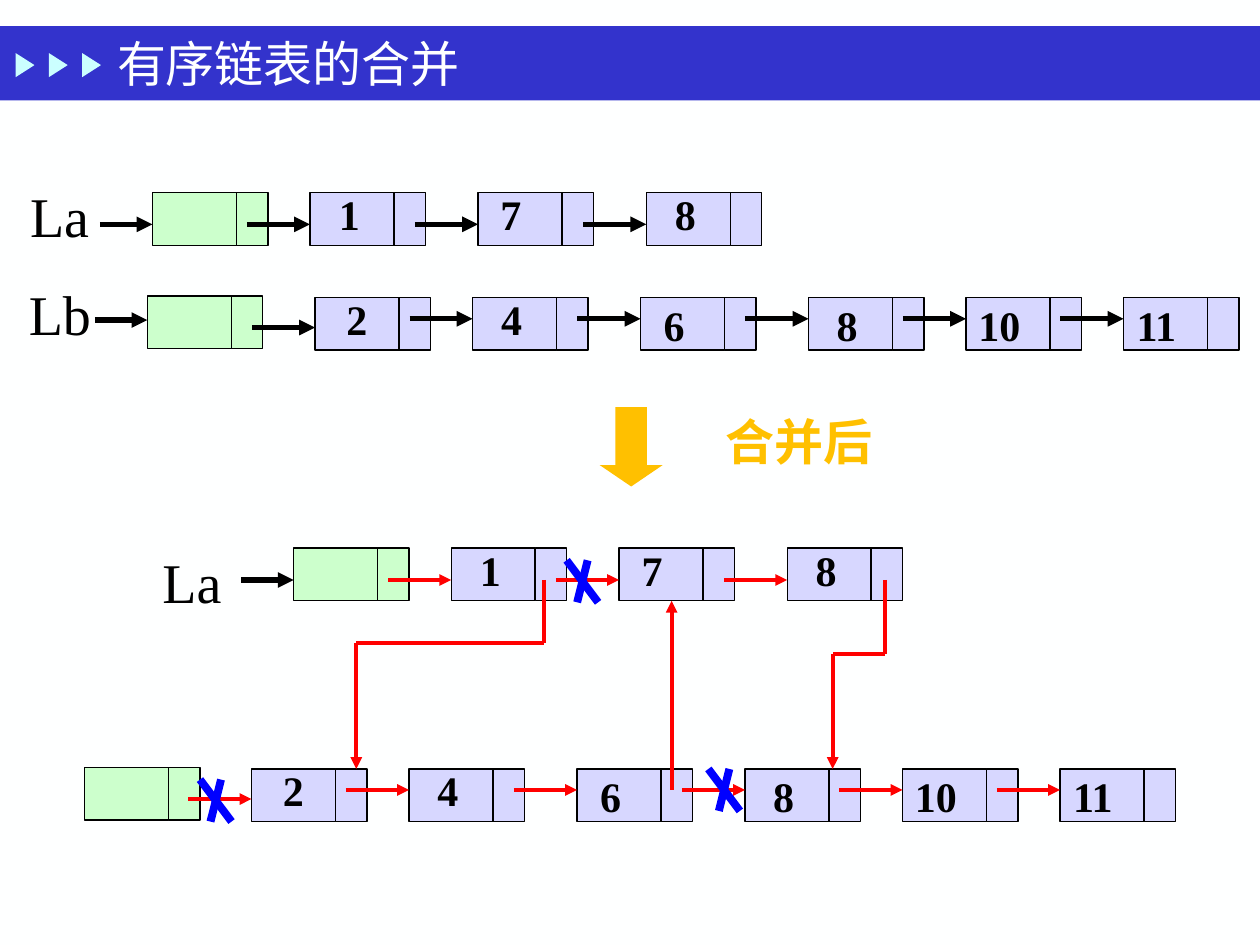
"""Build a slide showing how two sorted linked lists are merged."""
from lxml.etree import SubElement
from pptx import Presentation
from pptx.dml.color import RGBColor
from pptx.enum.shapes import MSO_CONNECTOR as Link, MSO_SHAPE as Preset
from pptx.enum.text import MSO_ANCHOR as Anchor
from pptx.oxml.ns import qn
from pptx.util import Pt

BLACK, RED, BLUE, AMBER, WHITE = "000000", "FF0000", "0000FF", "FFC000", "FEFFFF"
GREEN, LILAC = "CCFFCC", "D7D7FF"
DATA_WIDTH, POINTER_WIDTH, NODE_HEIGHT, LINK_LENGTH = 48, 18, 30, 36

deck = Presentation()
deck.slide_width, deck.slide_height = Pt(720), Pt(540)
page = deck.slides.add_slide(deck.slide_layouts[6])
page.background.fill.solid()
page.background.fill.fore_color.rgb = RGBColor.from_string(WHITE)


def add_block(preset, left, top, width, height, fill, outline=None):
    block = page.shapes.add_shape(preset, Pt(left), Pt(top), Pt(width), Pt(height))
    block.shadow.inherit = False
    block.fill.solid()
    block.fill.fore_color.rgb = RGBColor.from_string(fill)
    if outline:
        block.line.color.rgb = RGBColor.from_string(outline)
        block.line.width = Pt(0.75)
    else:
        block.line.fill.background()
    return block


def add_label(text, left, top, width, height, size, color=BLACK, bold=False, wrap=False):
    box = page.shapes.add_textbox(Pt(left), Pt(top), Pt(width), Pt(height))
    box.text_frame.word_wrap = wrap
    para = box.text_frame.paragraphs[0]
    para.text = text
    para.font.name = "Times New Roman"
    para.font.size = Pt(size)
    para.font.bold = bold
    para.font.color.rgb = RGBColor.from_string(color)
    return box


add_block(Preset.RECTANGLE, 0, 15, 720, 42.4, "3333CC")
for index in range(3):
    marker = add_block(Preset.ISOSCELES_TRIANGLE, 7.4 + 19 * index, 31.8, 13.8, 10.8, "CBFFFF")
    marker.rotation = 90
title = add_label("有序链表的合并", 59.8, 15.8, 532.8, 40.3, 28, WHITE, wrap=True)
title.text_frame.vertical_anchor = Anchor.MIDDLE

SHORT_VALUES = [("1", 9.4, -5.8), ("7", 5.8, -5.8), ("8", 9.2, -5.8)]
LONG_VALUES = [("2", 10.8, -5.8), ("4", 9.2, -5.8), ("6", 6.2, -2.6),
               ("8", 9, -2.6), ("10", 0, -2.6), ("11", 0.4, -2.6)]
VALUE_WIDTHS = {"10": 38.9, "11": 37.4}
lists = [
    (110.2, 87.1, 110.2, [177.1, 273.1, 369.3], SHORT_VALUES, 128.2, 128.2, BLACK, 3),
    (170, 84.2, 169.2, [180, 270, 366, 462, 552, 642], LONG_VALUES, 182.2, 187.2, BLACK, 3),
    (313.2, 167.8, 313.2, [257.8, 353.7, 449.8], SHORT_VALUES, 331.4, 331.4, RED, 2.25),
    (439.4, 48.3, 438.7, [143.7, 233.7, 329.7, 425.7, 515.7, 605.7], LONG_VALUES,
     451.4, 456.6, RED, 2.25),
]

lines = []
for top, head_left, head_top, lefts, values, link_y, head_link_y, color, weight in lists:
    nodes = [(head_left, head_top, GREEN)] + [(left, top, LILAC) for left in lefts]
    for left, node_top, fill in nodes:
        add_block(Preset.RECTANGLE, left, node_top, DATA_WIDTH, NODE_HEIGHT, fill, BLACK)
        add_block(Preset.RECTANGLE, left + DATA_WIDTH, node_top, POINTER_WIDTH, NODE_HEIGHT,
                  fill, BLACK)
    for index, left in enumerate(lefts):
        y = link_y if index else head_link_y
        lines.append((left - LINK_LENGTH, y, left, y, color, weight, True))
    for left, (value, shift, rise) in zip(lefts, values):
        add_label(value, left + shift, top + rise, VALUE_WIDTHS.get(value, 26.4), 36.4, 24,
                  bold=True)

for name, left, top, width in [("La", 10.1, 100.1, 49), ("Lb", 9.4, 156.2, 50.4),
                               ("La", 85.7, 309.6, 49)]:
    add_label(name, left, top, width, 46.1, 32)
for x, y in [(87.1, 128.2), (84.2, 182.9), (167.8, 331.4)]:
    lines.append((x - 30, y, x, y, BLACK, 3, True))

detours = [
    [(310.8, 331.4), (310.8, 367.4), (203.6, 367.4), (203.6, 439.4)],
    [(383.8, 451.4), (383.8, 343.4)],
    [(505.6, 331.4), (505.6, 373.6), (475.8, 373.6), (475.8, 439.4)],
]
for corners in detours:
    for start, end in zip(corners, corners[1:]):
        lines.append((*start, *end, RED, 2.25, end == corners[-1]))

for left, top in [(323.8, 320.2), (404.8, 439.4), (114.3, 445.5)]:
    lines.append((left + 12, top, left + 6, top + 24, BLUE, 4.5, False))
    lines.append((left, top, left + 18, top + 24, BLUE, 4.5, False))

for x1, y1, x2, y2, color, weight, has_head in lines:
    link = page.shapes.add_connector(Link.STRAIGHT, Pt(x1), Pt(y1), Pt(x2), Pt(y2))
    link.line.color.rgb = RGBColor.from_string(color)
    link.line.width = Pt(weight)
    properties = link._element.spPr
    if has_head:
        SubElement(properties.find(qn("a:ln")), qn("a:tailEnd"), type="triangle")
    SubElement(properties, qn("a:effectLst"))

down_arrow = add_block(Preset.DOWN_ARROW, 342.7, 232.6, 36, 45.4, AMBER)
down_arrow.adjustments[0], down_arrow.adjustments[1] = 0.5, 0.34
add_label("合并后", 407.5, 231.8, 118.8, 41, 28, AMBER, bold=True, wrap=True)

deck.save("out.pptx")
